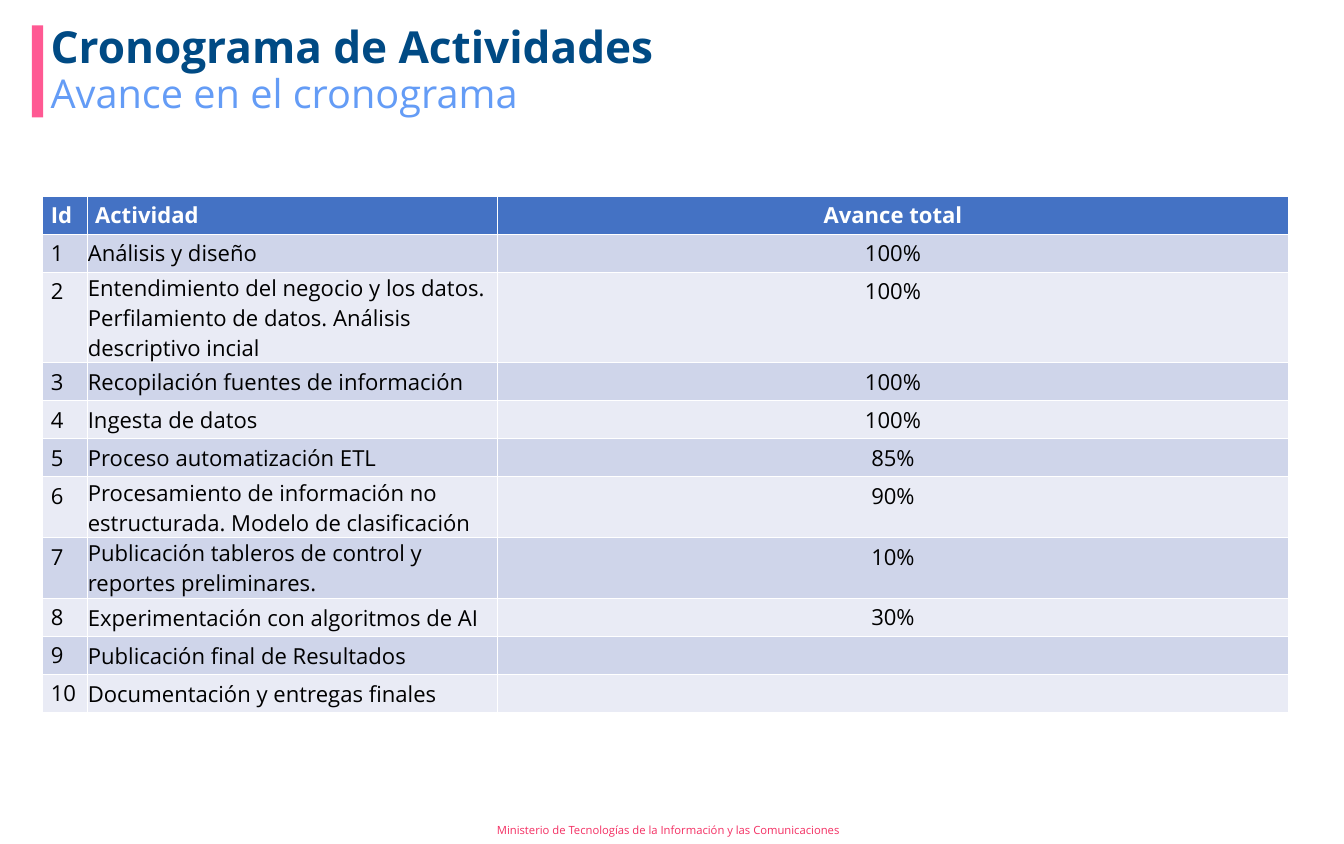
from pptx import Presentation
from pptx.dml.color import RGBColor
from pptx.enum import shapes, text
from pptx.util import Cm, Pt

FONT = "Open Sans"
HEAD = ("Id", "Actividad", "Avance total")
TASKS = (
    ("Análisis y diseño", "100%"),
    ("Entendimiento del negocio y los datos. Perfilamiento de datos. "
     "Análisis descriptivo incial", "100%"),
    ("Recopilación fuentes de información", "100%"),
    ("Ingesta de datos", "100%"),
    ("Proceso automatización ETL", "85%"),
    ("Procesamiento de información no estructurada. Modelo de clasificación", "90%"),
    ("Publicación tableros de control y reportes preliminares.", "10%"),
    ("Experimentación con algoritmos de AI", "30%"),
    ("Publicación final de Resultados", ""),
    ("Documentación y entregas finales", ""),
)
WIDTHS = (1.42, 13.13, 25.3)
BANDS = ("CFD5EA", "E9EBF5")


def paint(fill, color):
    fill.solid()
    fill.fore_color.rgb = RGBColor.from_string(color)


def style(para, size, color, bold=False, align=text.PP_ALIGN.LEFT):
    para.alignment = align
    font = para.font
    font.name, font.size, font.bold = FONT, Pt(size), bold
    font.color.rgb = RGBColor.from_string(color)


def write(shape, box, words, size, color, bold=False, inset=0.0, line=1.0,
          anchor=text.MSO_ANCHOR.TOP):
    shape.left, shape.top, shape.width, shape.height = map(Cm, box)
    frame = shape.text_frame
    frame.text = words
    frame.word_wrap = True
    frame.auto_size = text.MSO_AUTO_SIZE.NONE
    frame.vertical_anchor = anchor
    frame.margin_left = frame.margin_right = Cm(0.25)
    frame.margin_top = frame.margin_bottom = Cm(inset)
    para = frame.paragraphs[0]
    para.line_spacing = line
    style(para, size, color, bold)


def add_text(slide, box, *args, **kwargs):
    write(slide.shapes.add_textbox(*map(Cm, box)), box, *args, **kwargs)


def add_bar(slide, box, color):
    bar = slide.shapes.add_shape(shapes.MSO_SHAPE.RECTANGLE, *map(Cm, box))
    bar.shadow.inherit = False
    paint(bar.fill, color)
    bar.line.fill.background()


def fill_cell(cell, words, row, col):
    head = row == 0
    cell.text = words
    align = text.PP_ALIGN.CENTER if col == 2 else text.PP_ALIGN.LEFT
    style(cell.text_frame.paragraphs[0], 20, "FFFFFF" if head else "000000", head, align)
    paint(cell.fill, "4472C4" if head else BANDS[(row - 1) % 2])
    if col == 1 and not head:
        cell.vertical_anchor = text.MSO_ANCHOR.MIDDLE
        cell.margin_left = cell.margin_right = cell.margin_top = Cm(0.02)
        cell.margin_bottom = 0


def add_grid(slide, left, top, high):
    rows = [HEAD] + [(str(i), *task) for i, task in enumerate(TASKS, 1)]
    # The default table style supplies the white rules
    table = slide.shapes.add_table(len(rows), len(HEAD), Cm(left), Cm(top),
                                   Cm(sum(WIDTHS)), Cm(high * len(rows))).table
    for col, width in zip(table.columns, WIDTHS):
        col.width = Cm(width)
    for r, row in enumerate(rows):
        for c, words in enumerate(row):
            fill_cell(table.cell(r, c), words, r, c)


def main():
    deck = Presentation()
    deck.slide_width, deck.slide_height = Cm(43), Cm(27)
    slide = deck.slides.add_slide(deck.slide_layouts[5])

    # Heading
    add_bar(slide, (1.02, 0.81, 0.36, 2.95), "FF5993")
    write(slide.shapes.title, (1.37, 0.81, 40.6, 1.4), "Cronograma de Actividades",
          40, "004A84", bold=True, line=0.9)
    add_text(slide, (1.37, 2.36, 33.2, 1.9), "Avance en el cronograma",
             36, "649CF6", line=0.9)

    # Schedule
    add_grid(slide, 1.37, 6.27, 1.17)

    # Footer
    add_text(slide, (15.65, 26.11, 11.7, 0.89),
             "Ministerio de Tecnologías de la Información y las Comunicaciones",
             10.2, "F42F63", inset=0.13, anchor=text.MSO_ANCHOR.MIDDLE)
    deck.save("out.pptx")


if __name__ == "__main__":
    main()
